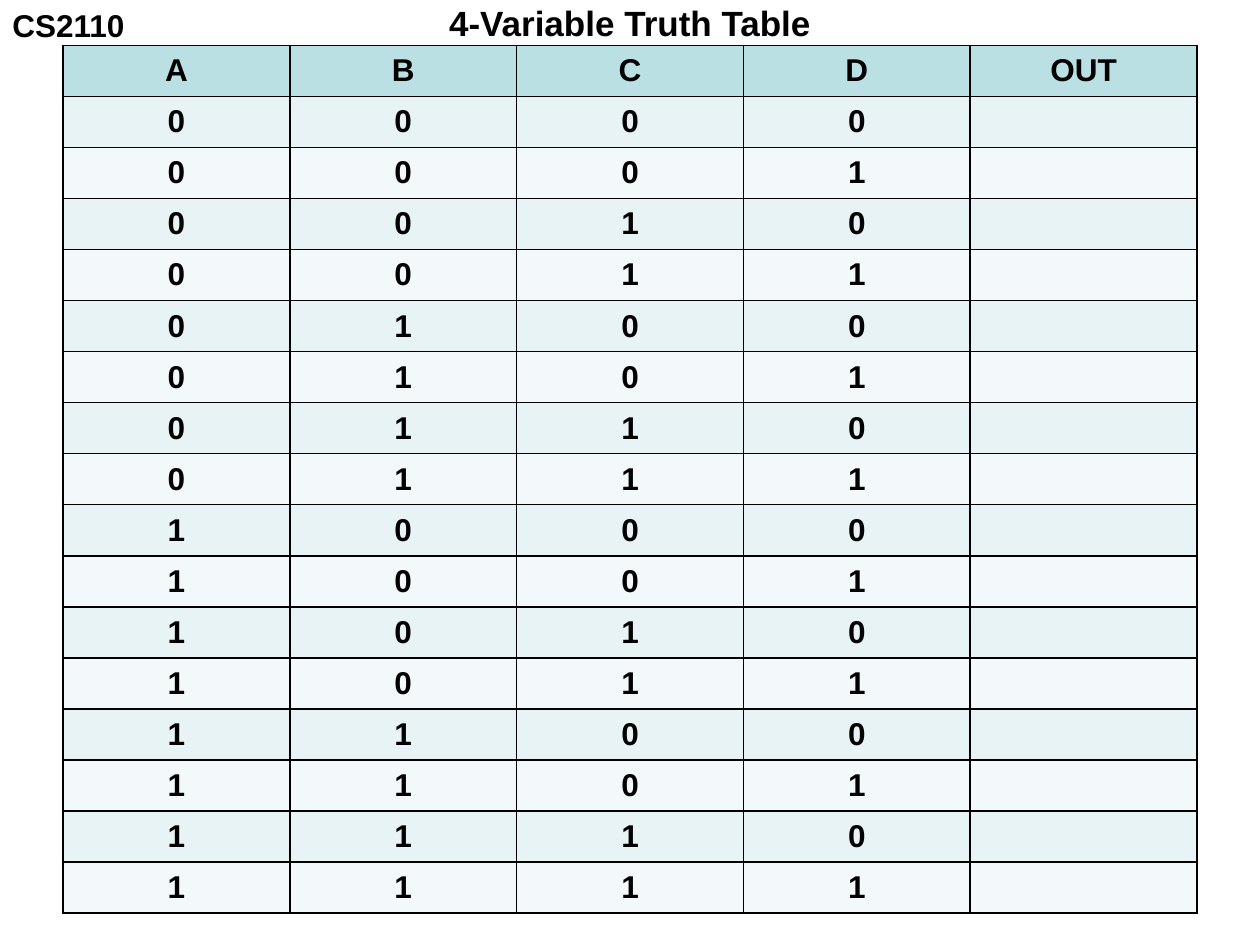
"""Build a slide with an empty four-variable truth table."""
from dataclasses import dataclass
from itertools import product

from lxml import etree
from pptx import Presentation
from pptx.dml.color import RGBColor
from pptx.enum.text import MSO_ANCHOR, PP_ALIGN
from pptx.oxml.ns import qn
from pptx.util import Inches, Pt

LEFT, CENTER = PP_ALIGN.LEFT, PP_ALIGN.CENTER
TOP, MIDDLE = MSO_ANCHOR.TOP, MSO_ANCHOR.MIDDLE
BORDER_TAGS = ("a:lnL", "a:lnR", "a:lnT", "a:lnB")


@dataclass(frozen=True)
class Theme:
    font: str = "Arial"
    ink: str = "000000"
    header: str = "BBE0E3"
    bands: tuple = ("E7F3F4", "F3F9FA")
    body_size: int = 18
    title_size: int = 20
    border_width: int = 1


class SlideBuilder:
    def __init__(self, slide, theme):
        self.slide = slide
        self.theme = theme

    def set_text(self, text_frame, text, size, align):
        paragraph = text_frame.paragraphs[0]
        paragraph.text = text
        paragraph.alignment = align
        font = paragraph.font
        font.name, font.size, font.bold = self.theme.font, Pt(size), True
        font.color.rgb = RGBColor.from_string(self.theme.ink)

    def text(self, text, left, top, width, height, size, align=LEFT, anchor=TOP, wrap=True):
        text_box = self.slide.shapes.add_textbox(
            Inches(left), Inches(top), Inches(width), Inches(height))
        text_box.text_frame.word_wrap = wrap
        text_box.text_frame.vertical_anchor = anchor
        self.set_text(text_box.text_frame, text, size, align)

    def border(self, cell):
        properties = cell._tc.get_or_add_tcPr()
        for tag in BORDER_TAGS:
            line = etree.SubElement(
                properties, qn(tag), w=str(Pt(self.theme.border_width)))
            fill = etree.SubElement(line, qn("a:solidFill"))
            etree.SubElement(fill, qn("a:srgbClr"), val=self.theme.ink)

    def cell(self, cell, text, color):
        self.border(cell)
        cell.fill.solid()
        cell.fill.fore_color.rgb = RGBColor.from_string(color)
        cell.vertical_anchor = MIDDLE
        self.set_text(cell.text_frame, text, self.theme.body_size, CENTER)

    def table(self, header, rows, left, top, width, height):
        table = self.slide.shapes.add_table(
            len(rows) + 1, len(header),
            Inches(left), Inches(top), Inches(width), Inches(height)).table
        for row_index, values in enumerate([header, *rows]):
            color = self.theme.bands[(row_index - 1) % 2] if row_index else self.theme.header
            for column_index, value in enumerate(values):
                self.cell(table.cell(row_index, column_index), value, color)


def main():
    presentation = Presentation()
    presentation.slide_width, presentation.slide_height = Inches(10), Inches(7.5)
    slide = presentation.slides.add_slide(presentation.slide_layouts[6])
    theme = Theme()
    builder = SlideBuilder(slide, theme)
    builder.text("CS2110", 0, 0, 1.1, 0.4, theme.body_size, wrap=False)
    builder.text("4-Variable Truth Table", 0.5, 0, 9, 0.36, theme.title_size, CENTER, MIDDLE)
    inputs = "ABCD"
    rows = [(*bits, "") for bits in product("01", repeat=len(inputs))]
    builder.table((*inputs, "OUT"), rows, 0.5, 0.36, 9, 6.89)
    presentation.save("out.pptx")


if __name__ == "__main__":
    main()
